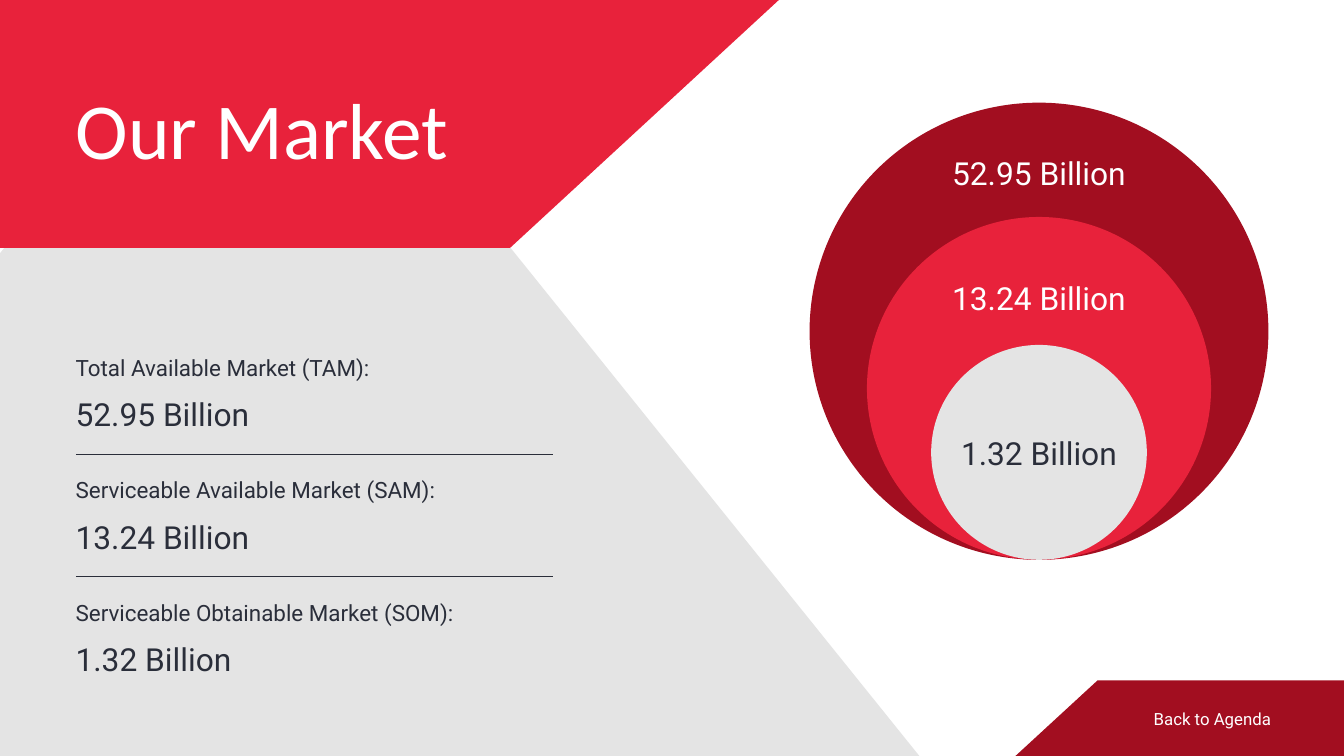
import pptx
import pptx.util
import pptx.dml.color
import pptx.enum.shapes
import pptx.enum.text
import pptx.oxml
import pptx.oxml.ns
from dataclasses import dataclass

Pt = pptx.util.Pt
Align = pptx.enum.text.PP_ALIGN


@dataclass(frozen=True)
class Theme:
    """Colours, fonts and type sizes of the slide."""
    red: str = "E8223B"
    dark: str = "A20E20"
    grey: str = "E4E4E4"
    ink: str = "2A2E3A"
    white: str = "FFFFFF"
    head: str = "Calibri"
    body: str = "Roboto"
    title: int = 85
    value: int = 34
    label: int = 24
    small: int = 18


THEME = Theme()
MARKET = [
    ("Total Available Market (TAM):", "52.95 Billion"),
    ("Serviceable Available Market (SAM):", "13.24 Billion"),
    ("Serviceable Obtainable Market (SOM):", "1.32 Billion"),
]


def color(code):
    """Turn a hex code into a colour."""
    return pptx.dml.color.RGBColor.from_string(code)


def paint(shape, fill):
    """Give a shape a flat fill with no line or shadow."""
    shape.shadow.inherit = False
    shape.fill.solid()
    shape.fill.fore_color.rgb = color(fill)
    shape.line.fill.background()


def write(slide, text, box, size, lead, ink=THEME.ink, font=THEME.body, align=Align.LEFT):
    """Place one line of text in a box without margins."""
    frame = slide.shapes.add_textbox(*map(Pt, box)).text_frame
    frame.word_wrap = True
    frame.margin_left = frame.margin_right = 0
    frame.margin_top = frame.margin_bottom = 0
    para = frame.paragraphs[0]
    para.text = text
    para.alignment = align
    para.line_spacing = Pt(lead)
    para.font.size = Pt(size)
    para.font.name = font
    para.font.color.rgb = color(ink)


def patch(slide, points, fill):
    """Draw a filled polygon through the points."""
    points = [(Pt(x), Pt(y)) for x, y in points]
    outline = slide.shapes.build_freeform(*points[0])
    outline.add_line_segments(points[1:], close=True)
    paint(outline.convert_to_shape(), fill)


def panel(slide, box):
    """Build the grey panel that widens downwards behind the list."""
    left, top, width, height = box
    base = top + height
    patch(slide, [(left, top + 253.4), (left + 203.8, top), (left + 347.8, top),
                  (left + width, base), (left, base)], THEME.grey)


def banner(slide, box):
    """Build the red title banner."""
    left, top, width, height = box
    right, base = left + width, top + height
    patch(slide, [(left, top), (right, top), (right - 288, base), (left, base)], THEME.red)
    write(slide, "Our Market", (left + 81, top + 85.7, 492, 102), THEME.title, 102,
          ink=THEME.white, font=THEME.head)


def rings(slide, box):
    """Nest the market circles so that they share their lowest point."""
    left, top, width, height = box
    mid, base = left + width / 2, top + height
    styles = [(1, 48.4, THEME.dark, THEME.white),
              (0.75, 59, THEME.red, THEME.white),
              (0.47, 88.5, THEME.grey, THEME.ink)]
    for (name, value), (ratio, drop, fill, ink) in zip(MARKET, styles):
        wide, high = width * ratio, height * ratio
        disc = slide.shapes.add_shape(pptx.enum.shapes.MSO_SHAPE.OVAL, Pt(mid - wide / 2),
                                      Pt(base - high), Pt(wide), Pt(high))
        paint(disc, fill)
    for (name, value), (ratio, drop, fill, ink) in zip(MARKET, styles):
        write(slide, value, (mid - 93, base - height * ratio + drop, 186, 45), THEME.value,
              47.6, ink=ink, align=Align.CENTER)


def figures(slide, box):
    """List the market figures, with a rule between each two."""
    left, top, width, height = box
    pitch = height / len(MARKET)
    for row, (name, value) in enumerate(MARKET):
        y = top + row * pitch
        write(slide, name, (left, y, width, 32), THEME.label, 33.6)
        write(slide, value, (left, y + 48.6, width, 41), THEME.value, 40.8)
        if row < len(MARKET) - 1:
            rule(slide, left + 0.2, y + 112.2, 511)


def rule(slide, left, top, width):
    """Draw a thin level line."""
    line = slide.shapes.add_connector(pptx.enum.shapes.MSO_CONNECTOR.STRAIGHT,
                                      Pt(left), Pt(top), Pt(left + width), Pt(top))
    line.line.color.rgb = color(THEME.ink)
    line.line.width = Pt(1)
    props = line._element.spPr
    props.append(pptx.oxml.parse_xml("<a:effectLst %s/>" % pptx.oxml.ns.nsdecls("a")))


def tab(slide, box):
    """Build the corner tab that leads back to the agenda."""
    left, top, width, height = box
    right, base = left + width, top + height
    patch(slide, [(left + 88, top), (right, top), (right, base), (left, base)], THEME.dark)
    write(slide, "Back to Agenda", (left + 114.8, top + 28.6, 159, 23), THEME.small, 23.4,
          ink=THEME.white, align=Align.RIGHT)


def main():
    """Build and save the slide."""
    deck = pptx.Presentation()
    deck.slide_width, deck.slide_height = Pt(1440), Pt(810)
    slide = deck.slides.add_slide(deck.slide_layouts[6])
    panel(slide, (0, 18, 985, 792))
    banner(slide, (0, 0, 834.5, 265.6))
    rings(slide, (867.4, 110, 491.6, 489.8))
    figures(slide, (81, 374.4, 526, 394))
    tab(slide, (1088, 729, 352, 81))
    deck.save("out.pptx")


if __name__ == "__main__":
    main()
